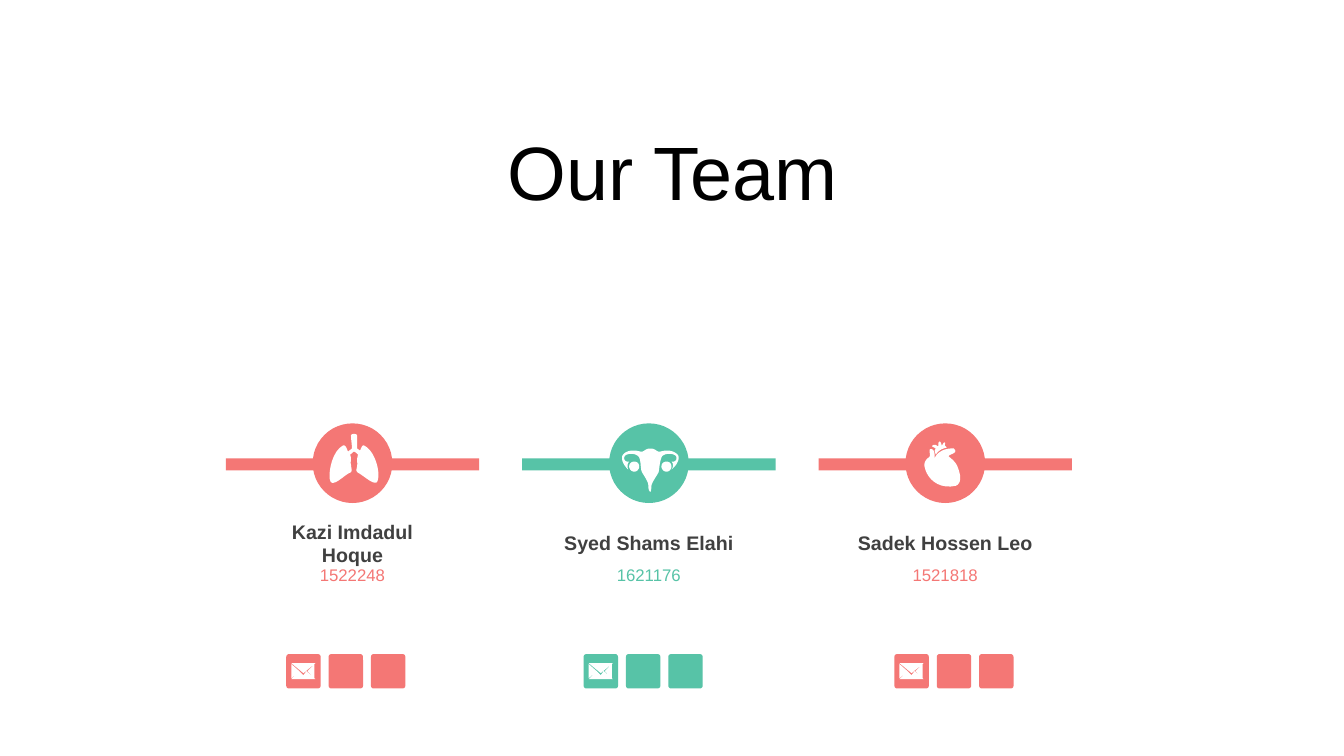
"""Build the "Our Team" slide: three members with organ badges and contact tiles."""
from pptx import Presentation
from pptx import util as u
from pptx.dml.color import RGBColor
from pptx.enum import shapes, text


class Theme:
    coral = RGBColor.from_string("F47775")
    teal = RGBColor.from_string("57C3A7")
    dark = RGBColor.from_string("404040")
    black = RGBColor.from_string("000000")
    white = RGBColor.from_string("FFFFFF")
    font = "Arial"
    title, name, code = u.Pt(54), u.Pt(14), u.Pt(12)


# Outlines in 1/100 inch: ";" parts loops, "," parts steps; two numbers are a line, six a curve.
LUNGS = """38 12, 38 10 44 10 44 12, 44 25, 47 27, 48 25 49 21 51 22, 62 27 68 50 64 58,
61 62 52 53 45 49, 42 47 44 45 44 42, 45 39 43 38 45 31, 44 30 43 29 41 28,
39 29 39 30 37 31, 39 35 37 39 38 41, 38 44 40 48 37 49, 32 51 24 60 19 59,
14 58 17 29 30 22, 33 21 34 26 35 28, 39 25, 39 22 38 16 38 12"""
WOMB = """57 38, 60 38 62 40 62 43, 62 45 60 48 57 48, 54 48 52 45 52 43, 52 40 54 38 57 38;
25 38, 28 38 30 40 30 43, 30 45 28 48 25 48, 22 48 20 45 20 43, 20 40 22 38 25 38;
41 25, 47 25 47 29 51 28, 58 26 64 27 68 31, 70 33 70 39 62 46, 64 43 64 40 62 38,
67 39 68 34 66 32, 62 29 53 30 52 34, 50 39 50 46 49 49, 46 54 43 58 42 62,
42 63 42 67 41 68, 39 67 39 63 39 62, 39 58 36 54 33 49, 31 46 32 39 30 34,
28 30 20 29 16 32, 14 34 15 39 20 38, 18 40 18 43 19 46, 12 39 12 33 14 31,
17 27 24 26 31 28, 35 29 35 25 41 25"""
HEART = """45 25, 46 25 47 25 48 25, 54 30 41 31 43 33, 47 36 51 40 52 44, 54 49 57 59 50 62,
32 66 21 54 19 43, 18 40 20 36 23 34, 25 33 24 30 24 27, 23 25 30 23 29 35,
31 28 40 25 45 25;
34 18, 35 18 36 22 36 22, 37 22 37 19 39 19, 40 19 39 21 39 22, 41 24, 33 26 32 29 30 31,
29 27, 30 25, 29 24 25 23 27 22, 30 20 32 23 32 23, 34 22 31 20 34 18"""
MAIL = """20 17, 17 21, 13 17, 5 25, 29 25; 28 10, 22 16, 21 17, 28 24;
5 10, 5 24, 13 17; 5 9, 17 19, 29 9"""

TEAM = [
    ("Kazi Imdadul Hoque", "1522248", Theme.coral, LUNGS, 204.5),
    ("Syed Shams Elahi", "1621176", Theme.teal, WOMB, 416.9),
    ("Sadek Hossen Leo", "1521818", Theme.coral, HEART, 638.9),
]


def paint(shape, color):
    """Give a shape a flat fill with no line or shadow."""
    shape.shadow.inherit = False
    shape.fill.solid()
    shape.fill.fore_color.rgb = color
    shape.line.fill.background()


def trace(outline, left, top):
    """Draw a white icon, turning each curve into short lines."""
    pen = None
    for loop in outline.split(";"):
        dots = []
        for step in loop.split(","):
            nums = [float(n) * 100 for n in step.split()]
            if len(nums) == 2:
                dots.append(tuple(nums))
                continue
            ends = [dots[-1], *zip(nums[::2], nums[1::2])]
            for t in [k / 10 for k in range(1, 11)]:
                parts = (1 - t) ** 3, 3 * t * (1 - t) ** 2, 3 * t * t * (1 - t), t ** 3
                dots.append(tuple(sum(w * e[axis] for w, e in zip(parts, ends)) for axis in (0, 1)))
        if pen is None:
            pen = slide.shapes.build_freeform(*dots[0], scale=u.Pt(0.72) / 100)
        else:
            pen.move_to(*dots[0])
        pen.add_line_segments(dots[1:], close=True)
    paint(pen.convert_to_shape(u.Pt(left), u.Pt(top)), Theme.white)


deck = Presentation()
deck.slide_width, deck.slide_height = u.Pt(960), u.Pt(540)
slide = deck.slides.add_slide(deck.slide_layouts[5])

title = slide.shapes.title
title.left, title.top, title.width, title.height = u.Pt(25), u.Pt(97), u.Pt(911), u.Pt(57)
title.text_frame.text = "Our Team"
title.text_frame.vertical_anchor = text.MSO_ANCHOR.MIDDLE
head = title.text_frame.paragraphs[0]
head.alignment = text.PP_ALIGN.CENTER
head.line_spacing = 0.9
head.font.name, head.font.size = Theme.font, Theme.title
head.font.color.rgb = Theme.black

kinds = shapes.MSO_SHAPE
for i, (name, code, color, organ, tiles) in enumerate(TEAM):
    mid = 251.8 + 211.7 * i
    for kind, top, wide, high in [
        (kinds.RECTANGLE, 327.4, 181, 8.6),
        (kinds.OVAL, 302.4, 56.9, 56.9),
    ]:
        paint(slide.shapes.add_shape(
            kind, u.Pt(mid - wide / 2), u.Pt(top), u.Pt(wide), u.Pt(high)), color)
    trace(organ, mid - 28.45, 302.4)

    for words, top, size, bold, ink in [
        (name, 378.9, Theme.name, True, Theme.dark),
        (code, 401.8, Theme.code, False, color),
    ]:
        box = slide.shapes.add_textbox(u.Pt(mid - 70.9), u.Pt(top), u.Pt(141.8), u.Pt(18))
        frame = box.text_frame
        frame.word_wrap = True
        frame.vertical_anchor = text.MSO_ANCHOR.MIDDLE
        frame.text = words
        para = frame.paragraphs[0]
        para.alignment = text.PP_ALIGN.CENTER
        para.font.name, para.font.size, para.font.bold = Theme.font, size, bold
        para.font.color.rgb = ink

    for n in range(3):
        tile = slide.shapes.add_shape(
            kinds.ROUNDED_RECTANGLE, u.Pt(tiles + 30.24 * n), u.Pt(467.2), u.Pt(24.6), u.Pt(24.6))
        tile.adjustments[0] = 0.08
        paint(tile, color)
    trace(MAIL, tiles, 467.2)

deck.save("out.pptx")
